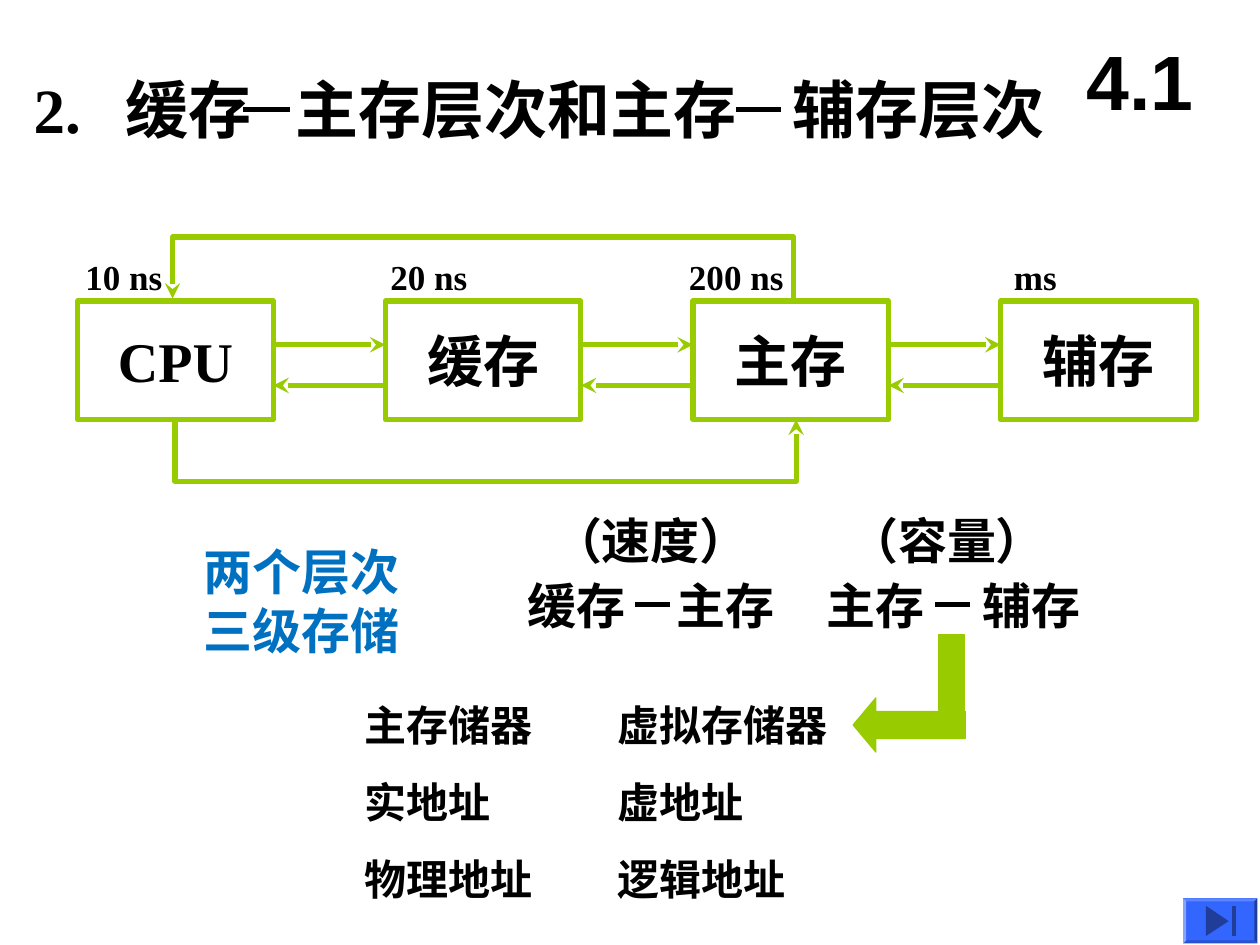
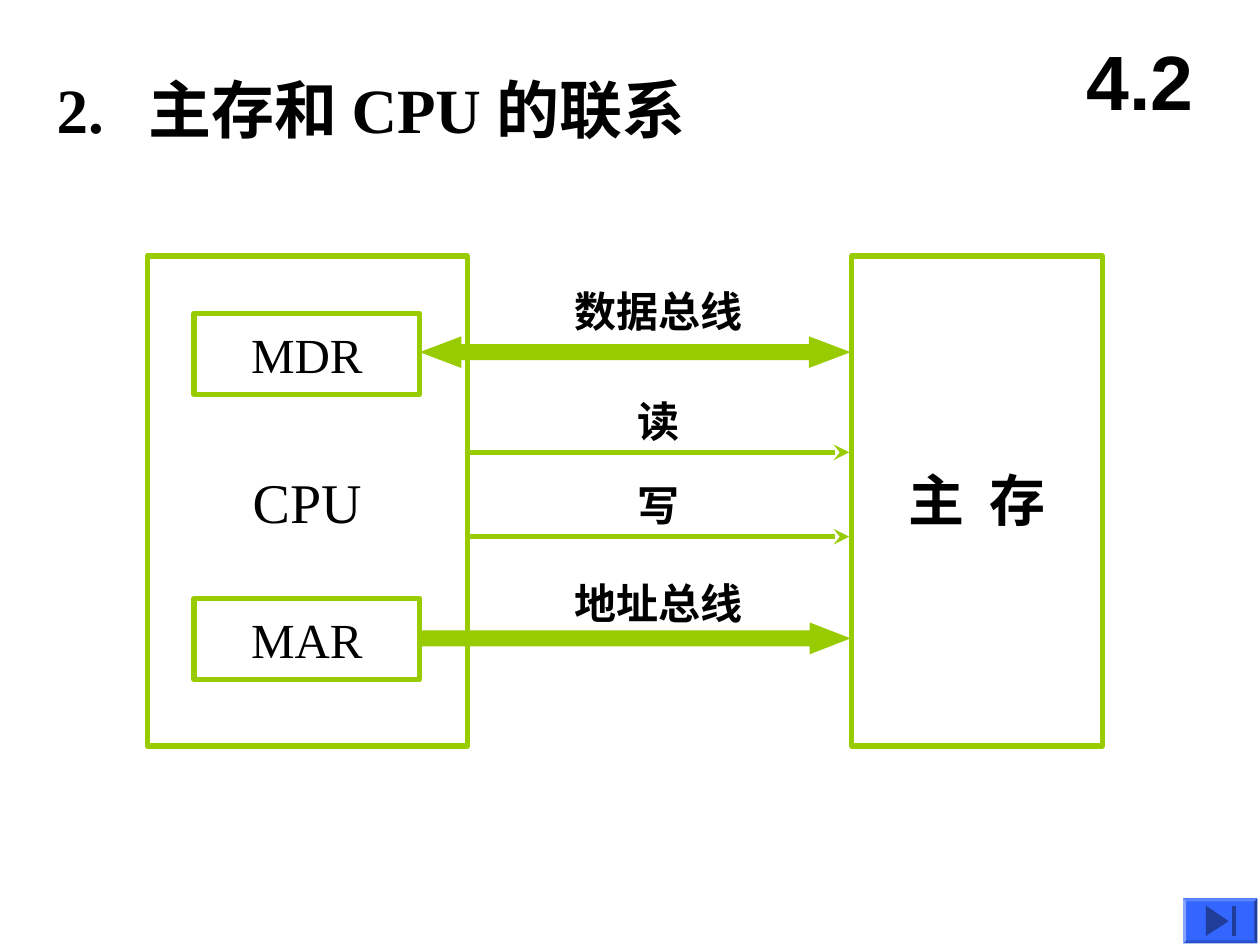
from lxml import etree
from pptx import Presentation
from pptx.dml.color import RGBColor
from pptx.enum.shapes import MSO_CONNECTOR, MSO_SHAPE
from pptx.enum.text import MSO_ANCHOR, PP_ALIGN
from pptx.oxml.ns import qn
from pptx.shapes.connector import Connector
from pptx.util import Cm, Pt

STRAIGHT = MSO_CONNECTOR.STRAIGHT
RECTANGLE = MSO_SHAPE.RECTANGLE
LEFT_ARROW = MSO_SHAPE.LEFT_ARROW
RIGHT_ARROW = MSO_SHAPE.RIGHT_ARROW
DOUBLE_ARROW = MSO_SHAPE.LEFT_RIGHT_ARROW
LEFT, CENTER = PP_ALIGN.LEFT, PP_ALIGN.CENTER
TOP, MIDDLE = MSO_ANCHOR.TOP, MSO_ANCHOR.MIDDLE

BLACK = RGBColor(0x00, 0x00, 0x00)
GREEN = RGBColor(0x99, 0xCC, 0x00)
BLUE = RGBColor(0x00, 0x70, 0xC0)
BUTTON = RGBColor(0x33, 0x66, 0xFF)
BUTTON_TOP = RGBColor(0x5C, 0x85, 0xFF)
BUTTON_LEFT = RGBColor(0x85, 0xA3, 0xFF)
BUTTON_BOTTOM = RGBColor(0x29, 0x52, 0xCC)
BUTTON_DARK = RGBColor(0x1F, 0x3D, 0x99)

SERIF = "Times New Roman"
SANS = "Arial"
CHINESE = "Noto Sans CJK SC"


def write(shape, text, size, font=SERIF, bold=True, color=BLACK,
          align=LEFT, anchor=TOP, tabs=()):
    frame = shape.text_frame
    frame.word_wrap = True
    frame.vertical_anchor = anchor
    for index, line in enumerate(text.split("\n")):
        paragraph = frame.paragraphs[0] if index == 0 else frame.add_paragraph()
        paragraph.alignment = align
        if tabs:
            tab_list = etree.SubElement(paragraph._p.get_or_add_pPr(), qn("a:tabLst"))
            for position in tabs:
                etree.SubElement(tab_list, qn("a:tab"), pos=str(Cm(position)), algn="l")
        run = paragraph.add_run()
        run.text = line
        run.font.size = Pt(size)
        run.font.bold = bold
        run.font.color.rgb = color
        run.font.name = font
        etree.SubElement(run._r.get_or_add_rPr(), qn("a:ea"), typeface=CHINESE)


def paint(shape, line=GREEN, fill=None, width=3, arrow=False):
    if not isinstance(shape, Connector):
        if fill is None:
            shape.fill.background()
        else:
            shape.fill.solid()
            shape.fill.fore_color.rgb = fill
    if line is None:
        shape.line.fill.background()
    else:
        shape.line.color.rgb = line
        shape.line.width = Pt(width)
    properties = shape._element.spPr
    if arrow:
        etree.SubElement(properties.find(qn("a:ln")), qn("a:tailEnd"), type="stealth")
    etree.SubElement(properties, qn("a:effectLst"))


presentation = Presentation()
presentation.slide_width = Cm(25.4)
presentation.slide_height = Cm(19.05)
blank = presentation.slide_layouts[6]

x0, y0, x1, y1, bevel = 23.85, 18.11, 25.35, 19.02, 0.06
outer = [(x0, y0), (x1, y0), (x1, y1), (x0, y1)]
inner = [(x0 + bevel, y0 + bevel), (x1 - bevel, y0 + bevel),
         (x1 - bevel, y1 - bevel), (x0 + bevel, y1 - bevel)]
button_parts = [(BUTTON, outer)]
for side, color in enumerate((BUTTON_TOP, BUTTON_DARK, BUTTON_BOTTOM, BUTTON_LEFT)):
    following = (side + 1) % 4
    button_parts.append((color, [outer[side], outer[following],
                                 inner[following], inner[side]]))
button_parts += [
    (BUTTON_DARK, [(24.77, 18.57), (24.31, 18.87), (24.31, 18.26)]),
    (BUTTON_DARK, [(24.84, 18.26), (24.84, 18.87), (24.92, 18.87), (24.92, 18.26)]),
]

slides = []
for section, title, title_left in (
    ("4.1", "2.\t缓存\t主存层次和主存\t辅存层次", 0.43),
    ("4.2", "2.\t主存和 CPU 的联系", 0.89),
):
    slide = presentation.slides.add_slide(blank)
    slides.append(slide)
    box = slide.shapes.add_textbox(Cm(title_left), Cm(1.3), Cm(21.6), Cm(1.78))
    write(box, title, 36, tabs=(1.85, 5.28, 15.29))
    box = slide.shapes.add_textbox(Cm(21.39), Cm(0.43), Cm(3.18), Cm(2.34))
    write(box, section, 44, font=SANS, align=CENTER, anchor=MIDDLE)
    for color, points in button_parts:
        corners = [(Cm(x), Cm(y)) for x, y in points]
        builder = slide.shapes.build_freeform(*corners[0])
        builder.add_line_segments(corners[1:], close=True)
        paint(builder.convert_to_shape(), line=None, fill=color)

hierarchy, memory_link = slides

unit_left, unit_step, unit_width = 1.57, 6.2, 3.94
for index, (unit, latency, latency_left) in enumerate((
    ("CPU", "10 ns", 1.47),
    ("缓存", "20 ns", 7.62),
    ("主存", "200 ns", 13.64),
    ("辅存", "ms", 20.19),
)):
    left = unit_left + unit_step * index
    shape = hierarchy.shapes.add_shape(
        RECTANGLE, Cm(left), Cm(6.07), Cm(unit_width), Cm(2.39))
    paint(shape)
    write(shape, unit, 32, align=CENTER, anchor=MIDDLE)
    box = hierarchy.shapes.add_textbox(Cm(latency_left), Cm(5.03), Cm(3), Cm(1.12))
    write(box, latency, 20)
    if index < 3:
        right, next_left = left + unit_width, left + unit_step
        for start, end, y in ((right, next_left, 6.95), (next_left, right, 7.77)):
            connector = hierarchy.shapes.add_connector(
                STRAIGHT, Cm(start), Cm(y), Cm(end), Cm(y))
            paint(connector, arrow=True)

for start, end, edge, bend in ((3.53, 16.05, 8.46, 9.7), (16, 3.48, 6.02, 4.78)):
    builder = hierarchy.shapes.build_freeform(Cm(start), Cm(edge))
    builder.add_line_segments(
        [(Cm(start), Cm(bend)), (Cm(end), Cm(bend)), (Cm(end), Cm(edge))], close=False)
    paint(builder.convert_to_shape(), arrow=True)

for start, end, y in ((4.9, 5.84, 2.21), (14.83, 15.75, 2.21),
                      (12.8, 13.51, 12.19), (18.85, 19.56, 12.19)):
    dash = hierarchy.shapes.add_connector(STRAIGHT, Cm(start), Cm(y), Cm(end), Cm(y))
    paint(dash, line=BLACK)

for text, left, top, size, color in (
    ("两个层次\n三级存储", 3.86, 10.8, 28, BLUE),
    ("（速度）", 10.9, 10.16, 28, BLACK),
    ("（容量）", 16.87, 10.16, 28, BLACK),
    ("缓存", 10.39, 11.48, 28, BLACK),
    ("主存", 13.39, 11.48, 28, BLACK),
    ("主存", 16.41, 11.48, 28, BLACK),
    ("辅存", 19.56, 11.48, 28, BLACK),
):
    height = 1.45 * len(text.split("\n"))
    box = hierarchy.shapes.add_textbox(Cm(left), Cm(top), Cm(4.9), Cm(height))
    write(box, text, size, color=color)

for row, terms in enumerate((
    ("主存储器", "虚拟存储器"),
    ("实地址", "虚地址"),
    ("物理地址", "逻辑地址"),
)):
    for column, term in enumerate(terms):
        box = hierarchy.shapes.add_textbox(
            Cm(7.09 + 5.1 * column), Cm(13.97 + 1.56 * row), Cm(5), Cm(1.27))
        write(box, term, 24)

stem = hierarchy.shapes.add_shape(RECTANGLE, Cm(18.92), Cm(12.8), Cm(0.53), Cm(1.52))
head = hierarchy.shapes.add_shape(LEFT_ARROW, Cm(17.2), Cm(14.07), Cm(2.26), Cm(1.09))
head.adjustments[0] = 0.5
head.adjustments[1] = 0.42
for shape in (stem, head):
    paint(shape, fill=GREEN, width=0.75)

for text, left, top, width, height, size in (
    ("CPU", 2.97, 5.16, 6.45, 9.88, 32),
    ("MDR", 3.91, 6.32, 4.55, 1.63, 28),
    ("MAR", 3.91, 12.07, 4.55, 1.63, 28),
    ("", 17.17, 5.16, 5.05, 9.88, 32),
):
    shape = memory_link.shapes.add_shape(
        RECTANGLE, Cm(left), Cm(top), Cm(width), Cm(height))
    paint(shape)
    if text:
        write(shape, text, size, bold=False, align=CENTER, anchor=MIDDLE)

box = memory_link.shapes.add_textbox(Cm(18.06), Cm(9.25), Cm(3.8), Cm(1.63))
write(box, "主\t存", 32, tabs=(1.63,))

for label, top in (("数据总线", 5.64), ("读", 7.85), ("写", 9.55), ("地址总线", 11.51)):
    box = memory_link.shapes.add_textbox(Cm(10.27), Cm(top), Cm(6), Cm(1.27))
    write(box, label, 24, font=CHINESE, align=CENTER)

for bus_type, top, head_length in ((DOUBLE_ARROW, 6.78, 1.32), (RIGHT_ARROW, 12.55, 1.29)):
    bus = memory_link.shapes.add_shape(bus_type, Cm(8.46), Cm(top), Cm(8.69), Cm(0.64))
    bus.adjustments[0] = 0.5
    bus.adjustments[1] = head_length
    paint(bus, line=None, fill=GREEN)

for y in (9.12, 10.82):
    control = memory_link.shapes.add_connector(STRAIGHT, Cm(9.45), Cm(y), Cm(17.12), Cm(y))
    paint(control, arrow=True)

presentation.save("out.pptx")
